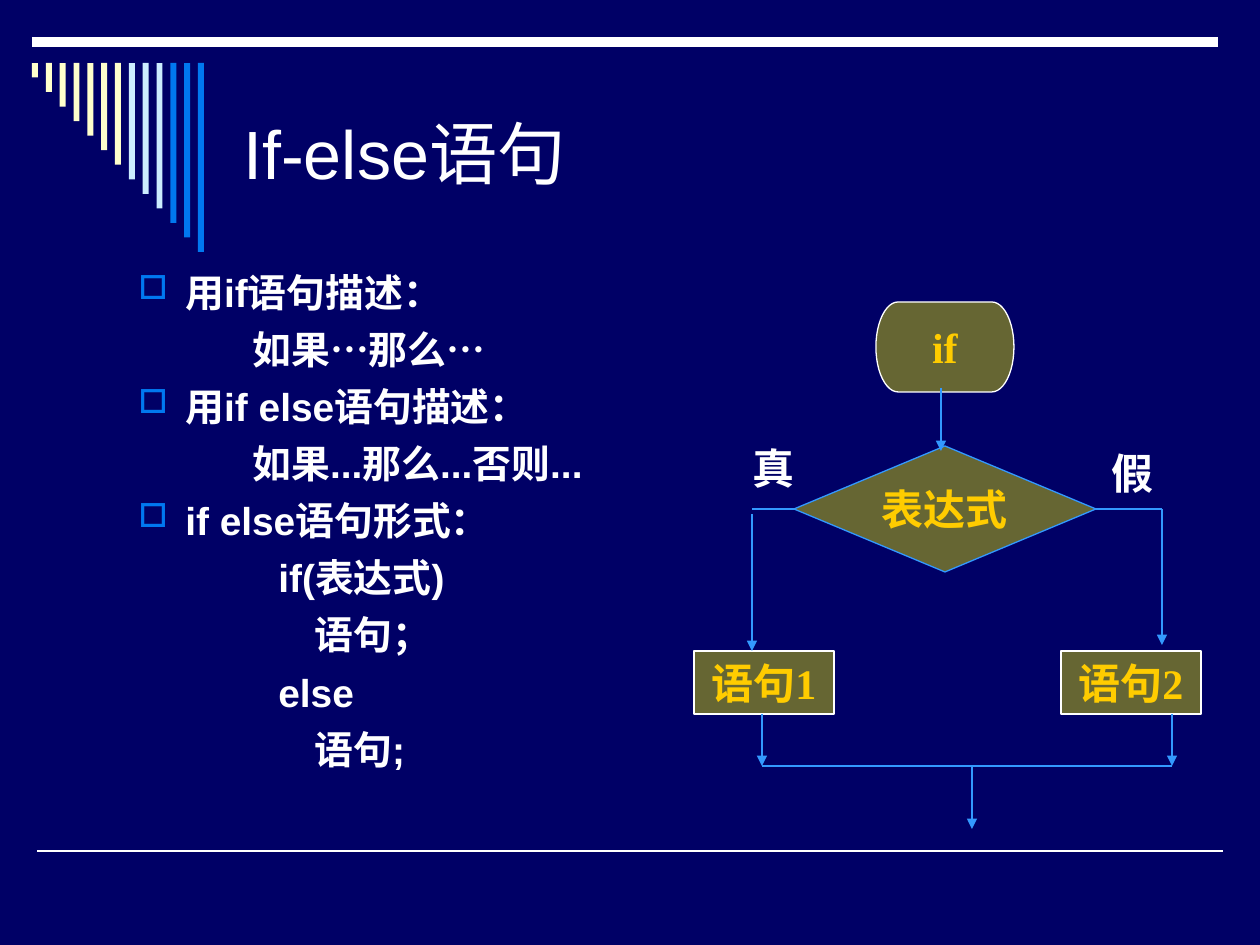
from lxml import etree
from pptx import Presentation
from pptx.dml.color import RGBColor
from pptx.enum.shapes import MSO_CONNECTOR, MSO_SHAPE
from pptx.enum.text import MSO_ANCHOR, PP_ALIGN
from pptx.oxml.ns import qn
from pptx.util import Inches, Pt

STRAIGHT = MSO_CONNECTOR.STRAIGHT
RECTANGLE = MSO_SHAPE.RECTANGLE
TERMINATOR = MSO_SHAPE.FLOWCHART_TERMINATOR
DECISION = MSO_SHAPE.FLOWCHART_DECISION
MIDDLE, TOP = MSO_ANCHOR.MIDDLE, MSO_ANCHOR.TOP
LEFT, CENTER = PP_ALIGN.LEFT, PP_ALIGN.CENTER

NAVY = RGBColor(0x00, 0x00, 0x66)
WHITE = RGBColor(0xFF, 0xFF, 0xFF)
CREAM = RGBColor(0xFF, 0xFF, 0xCC)
PALE_BLUE = RGBColor(0xCC, 0xEC, 0xFF)
BLUE = RGBColor(0x00, 0x78, 0xF0)
FLOW_BLUE = RGBColor(0x33, 0x99, 0xFF)
OLIVE = RGBColor(0x66, 0x66, 0x33)
GOLD = RGBColor(0xFF, 0xCC, 0x00)

SCALE = Inches(1) / 126
STRIPE_COLORS = [CREAM] * 7 + [PALE_BLUE] * 3 + [BLUE] * 3
BULLET_INDENT = 47
OUTLINE = [
    ("用if语句描述：", BULLET_INDENT, True),
    ("如果…那么…", 114, False),
    ("用if else语句描述：", BULLET_INDENT, True),
    ("如果...那么...否则...", 114, False),
    ("if else语句形式：", BULLET_INDENT, True),
    ("if(表达式)", 140, False),
    ("语句；", 176, False),
    ("else", 140, False),
    ("语句;", 176, False),
]


def px(length):
    return round(length * SCALE)


def add_line(slide, start, end, color, weight, arrow=False):
    line = slide.shapes.add_connector(STRAIGHT, *map(px, start + end))
    line.line.color.rgb = color
    line.line.width = Pt(weight)
    properties = line._element.spPr
    if arrow:
        outline = properties.find(qn("a:ln"))
        etree.SubElement(outline, qn("a:tailEnd"), type="triangle")
    etree.SubElement(properties, qn("a:effectLst"))


def add_block(slide, kind, box, fill, edge=None):
    block = slide.shapes.add_shape(kind, *map(px, box))
    block.shadow.inherit = False
    block.fill.solid()
    block.fill.fore_color.rgb = fill
    if edge is None:
        block.line.fill.background()
    else:
        block.line.color.rgb = edge
        block.line.width = Pt(0.75)
    return block


def style_font(font, name, size, color, bold):
    font.name = name
    font.size = Pt(size)
    font.color.rgb = color
    font.bold = bold


def write(frame, words, name, size, color, bold, align, wrap):
    frame.text = words
    frame.word_wrap = wrap
    frame.vertical_anchor = MIDDLE
    paragraph = frame.paragraphs[0]
    paragraph.alignment = align
    style_font(paragraph.runs[0].font, name, size, color, bold)


def set_indent(paragraph, indent, bulleted):
    properties = paragraph._p.get_or_add_pPr()
    properties.set("marL", str(px(indent)))
    properties.set("indent", str(px(-BULLET_INDENT) if bulleted else 0))
    if bulleted:
        color = etree.SubElement(properties, qn("a:buClr"))
        etree.SubElement(color, qn("a:srgbClr"), val=str(BLUE))
        etree.SubElement(properties, qn("a:buSzPct"), val="85000")
        etree.SubElement(properties, qn("a:buChar"), char="□")
    else:
        etree.SubElement(properties, qn("a:buNone"))


def add_rules(slide, left, top, width, height):
    add_line(slide, (left, top), (left + width, top), WHITE, 6)
    bottom = top + height
    add_line(slide, (left + 5, bottom), (left + 5 + width, bottom), WHITE, 1)


def add_stripes(slide, left, top, width, height):
    bar_width = 6
    count = len(STRIPE_COLORS)
    pitch = (width - bar_width) / (count - 1)
    for index, color in enumerate(STRIPE_COLORS):
        box = (left + pitch * index, top, bar_width, height * (index + 1) / count)
        add_block(slide, RECTANGLE, box, color)


def add_title(slide, left, top, width, height):
    title = slide.shapes.add_textbox(*map(px, (left, top, width, height)))
    write(title.text_frame, "If-else语句", "Arial", 39, WHITE, False, LEFT, True)


def add_outline(slide, left, top, width, height):
    outline = slide.shapes.add_textbox(*map(px, (left, top, width, height)))
    frame = outline.text_frame
    frame.word_wrap = True
    frame.vertical_anchor = TOP
    for index, (words, indent, bulleted) in enumerate(OUTLINE):
        paragraph = frame.add_paragraph() if index else frame.paragraphs[0]
        paragraph.text = words
        set_indent(paragraph, indent, bulleted)
        if index:
            paragraph.space_before = Pt(6)
        style_font(paragraph.runs[0].font, "Arial", 22.2, WHITE, True)


def add_flowchart(slide, left, top):
    def flow(x1, y1, x2, y2, arrow=True):
        start, end = (left + x1, top + y1), (left + x2, top + y2)
        add_line(slide, start, end, FLOW_BLUE, 0.75, arrow)

    def step(words, kind, x, y, width, height, edge, wrap=False):
        box = (left + x, top + y, width, height)
        block = add_block(slide, kind, box, OLIVE, edge)
        write(block.text_frame, words, "Times New Roman", 24, GOLD, True, CENTER, wrap)

    def branch_label(words, x, y):
        label = slide.shapes.add_textbox(*map(px, (left + x, top + y, 67, 63)))
        write(label.text_frame, words, "Times New Roman", 24, WHITE, True, CENTER, False)

    flow(58, 208, 468, 208, arrow=False)
    step("if", TERMINATOR, 182, 1, 138, 90, WHITE, wrap=True)
    step("表达式", DECISION, 100, 145, 302, 126, FLOW_BLUE)
    step("语句1", RECTANGLE, 0, 350, 140, 63, WHITE)
    step("语句2", RECTANGLE, 367, 350, 140, 63, WHITE)
    flow(247, 87, 247, 150)
    flow(58, 213, 58, 350)
    flow(468, 208, 468, 344)
    branch_label("真", 46, 135)
    branch_label("假", 405, 140)
    for exit_x in (68, 478):
        flow(exit_x, 413, exit_x, 465)
    flow(68, 465, 478, 465, arrow=False)
    flow(278, 465, 278, 528)


def main():
    deck = Presentation()
    deck.slide_width, deck.slide_height = px(1260), px(945)
    slide = deck.slides.add_slide(deck.slide_layouts[6])
    slide.background.fill.solid()
    slide.background.fill.fore_color.rgb = NAVY
    add_rules(slide, 32, 42, 1186, 809)
    add_stripes(slide, 32, 63, 172, 189)
    add_title(slide, 231, 63, 966, 179)
    add_outline(slide, 126, 262, 535, 567)
    add_flowchart(slide, 694, 301)
    deck.save("out.pptx")


if __name__ == "__main__":
    main()
